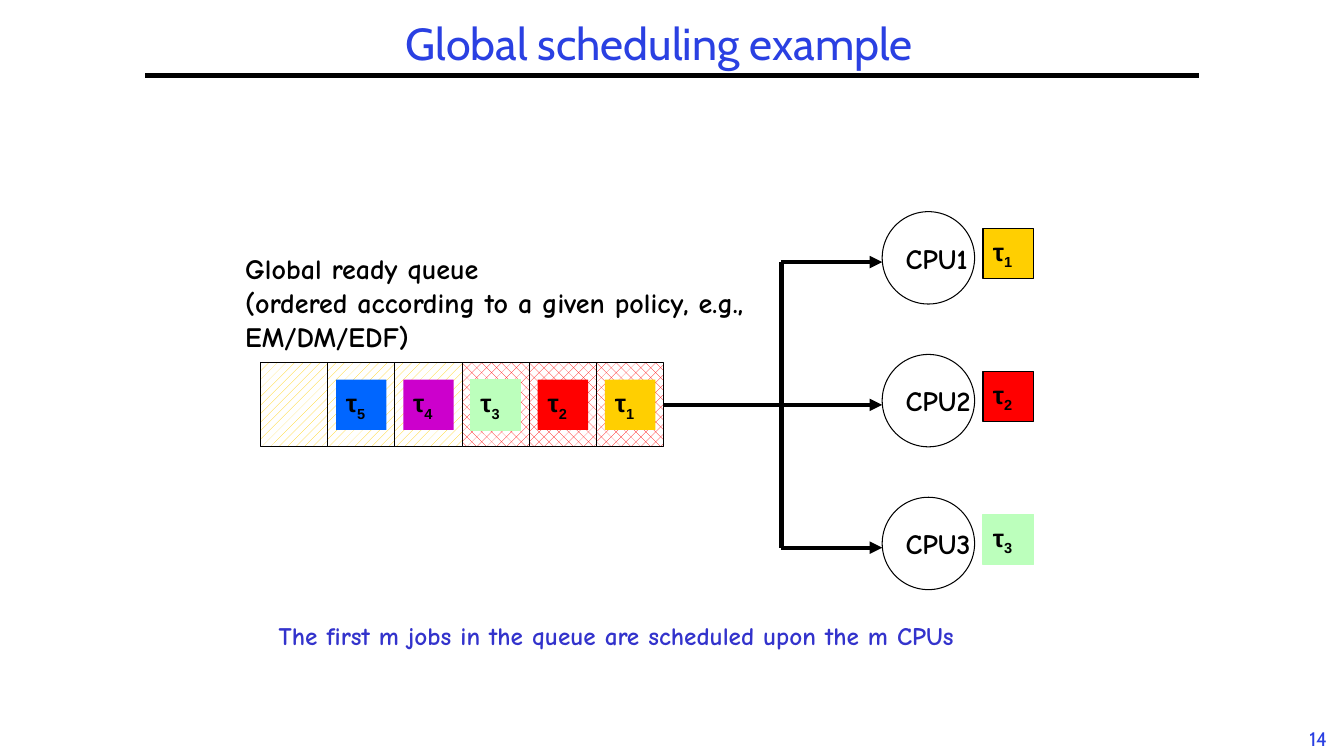
import pptx
import pptx.dml.color
import pptx.enum.dml
import pptx.enum.shapes
import pptx.enum.text
import pptx.util
from lxml import etree
from pptx.oxml.ns import qn

COLORS = {"black": "000000", "white": "FFFFFF", "title": "2A40E2", "note": "3333CC",
          "red": "FF0000", "gold": "FFCF01", "green": "BCFFBC",
          "purple": "CC00CC", "blue": "0066FF"}
TASK_COLORS = ["gold", "red", "green", "purple", "blue"]
SHAPE = pptx.enum.shapes.MSO_SHAPE
ALIGN = pptx.enum.text.PP_ALIGN
ANCHOR = pptx.enum.text.MSO_ANCHOR
PATTERN = pptx.enum.dml.MSO_PATTERN
HAND, SANS, TASK = "Comic Neue", "Cabin", "Arial"


def rgb(name):
    return pptx.dml.color.RGBColor.from_string(COLORS[name])


class Diagram:
    """Places elements on a grid of 1/12 inch columns and rows."""

    def __init__(self, prs):
        self.s = prs.slides.add_slide(prs.slide_layouts[6])

    def x(self, cols):
        return pptx.util.Inches(cols / 12)

    def y(self, rows):
        """Vertical position; the rows begin 0.2 row below the slide's top."""
        return pptx.util.Inches((rows + 0.2) / 12)

    def add_run(self, p, text, size, font, color, bold):
        r = p.add_run()
        r.text = text
        r.font.size = pptx.util.Pt(size)
        r.font.name = font
        r.font.bold = bold
        r.font.color.rgb = rgb(color)
        return r

    def text(self, col, row, cols, rows, lines, size, font, color,
             bold=True, align=ALIGN.LEFT, anchor=ANCHOR.TOP, wrap=True):
        sp = self.s.shapes.add_textbox(self.x(col), self.y(row), self.x(cols), self.x(rows))
        tf = sp.text_frame
        tf.word_wrap = wrap
        tf.vertical_anchor = anchor
        for i, line in enumerate(lines):
            p = tf.add_paragraph() if i else tf.paragraphs[0]
            p.alignment = align
            self.add_run(p, line, size, font, color, bold)
        return sp

    def shape(self, kind, col, row, cols, rows, fill="white", line="black", pattern=None):
        sp = self.s.shapes.add_shape(kind, self.x(col), self.y(row), self.x(cols), self.x(rows))
        sp.shadow.inherit = False
        if pattern:
            sp.fill.patterned()
            sp.fill.pattern = pattern
            sp.fill.fore_color.rgb = rgb(fill)
            sp.fill.back_color.rgb = rgb("white")
        else:
            sp.fill.solid()
            sp.fill.fore_color.rgb = rgb(fill)
        if line:
            sp.line.color.rgb = rgb(line)
            sp.line.width = pptx.util.Pt(0.75)
        else:
            sp.line.fill.background()
        return sp

    def label(self, sp):
        """Prepare a left-aligned, unwrapped label and return its paragraph."""
        tf = sp.text_frame
        tf.word_wrap = False
        tf.vertical_anchor = ANCHOR.MIDDLE
        p = tf.paragraphs[0]
        p.alignment = ALIGN.LEFT
        return p

    def cpu(self, col, row, name):
        sp = self.shape(SHAPE.OVAL, col, row, 11, 11)
        self.add_run(self.label(sp), name, 20, HAND, "black", True)

    def task(self, col, row, number, line=None):
        color = TASK_COLORS[number - 1]
        if color == "green":
            line = "green"
        p = self.label(self.shape(SHAPE.RECTANGLE, col, row, 6, 6, color, line))
        self.add_run(p, "τ", 18, TASK, "black", True)
        r = self.add_run(p, str(number), 18, TASK, "black", True)
        r.font._element.set("baseline", "-25000")

    def line(self, col1, row1, col2, row2, arrow=False):
        c = self.s.shapes.add_connector(
            pptx.enum.shapes.MSO_CONNECTOR.STRAIGHT,
            self.x(col1), self.y(row1), self.x(col2), self.y(row2))
        c.line.color.rgb = rgb("black")
        c.line.width = pptx.util.Pt(3)
        if arrow:
            etree.SubElement(c.line._get_or_add_ln(), qn("a:tailEnd"), type="triangle")
        etree.SubElement(c._element.spPr, qn("a:effectLst"))
        return c


def main():
    prs = pptx.Presentation()
    prs.slide_width = pptx.util.Inches(13.33)
    prs.slide_height = pptx.util.Inches(7.5)
    d = Diagram(prs)

    d.text(154.3, 85.8, 5.2, 4, ["14"], 14, SANS, "title", False, ALIGN.CENTER, wrap=False)
    d.line(17.3, 8.8, 142.7, 8.8)
    title = d.text(31, 0, 95, 10.5, ["Global scheduling example"], 32, SANS, "title",
                   False, ALIGN.CENTER, ANCHOR.MIDDLE)
    title.text_frame.paragraphs[0].line_spacing = 0.9

    d.text(28, 29.2, 62, 13.3,
           ["Global ready queue", "(ordered according to a given policy, e.g., EM/DM/EDF)"],
           20, HAND, "black")
    d.text(32, 73, 96, 4.8, ["The first m jobs in the queue are scheduled upon the m CPUs"],
           18, HAND, "note")

    cpu_count, slot_count = 3, 6
    queue_col, slot_cols, cpu_col, bus_col = 31, 8, 105, 93
    cpu_rows = [25 + 17 * i for i in range(cpu_count)]

    for i in range(slot_count):
        col = queue_col + slot_cols * i
        number = slot_count - i
        scheduled = number <= cpu_count
        slot = d.shape(SHAPE.RECTANGLE, col, 43, slot_cols, 10,
                       "red" if scheduled else "gold",
                       pattern=PATTERN.PERCENT_30 if scheduled else PATTERN.PERCENT_20)
        if number <= len(TASK_COLORS):
            d.task(col + 1, 45, number)

    for number, row in enumerate(cpu_rows, 1):
        d.cpu(cpu_col, row, f"CPU{number}")
        d.task(117, row + 2, number, "black")

    d.line(queue_col + slot_cols * slot_count, 48, cpu_col, 48, True).begin_connect(slot, 3)
    for row in (cpu_rows[0] + 6, cpu_rows[-1] + 6):
        d.line(bus_col, row, cpu_col, row, True)
    d.line(bus_col, cpu_rows[0] + 6, bus_col, cpu_rows[-1] + 6)

    prs.save("out.pptx")


if __name__ == "__main__":
    main()
